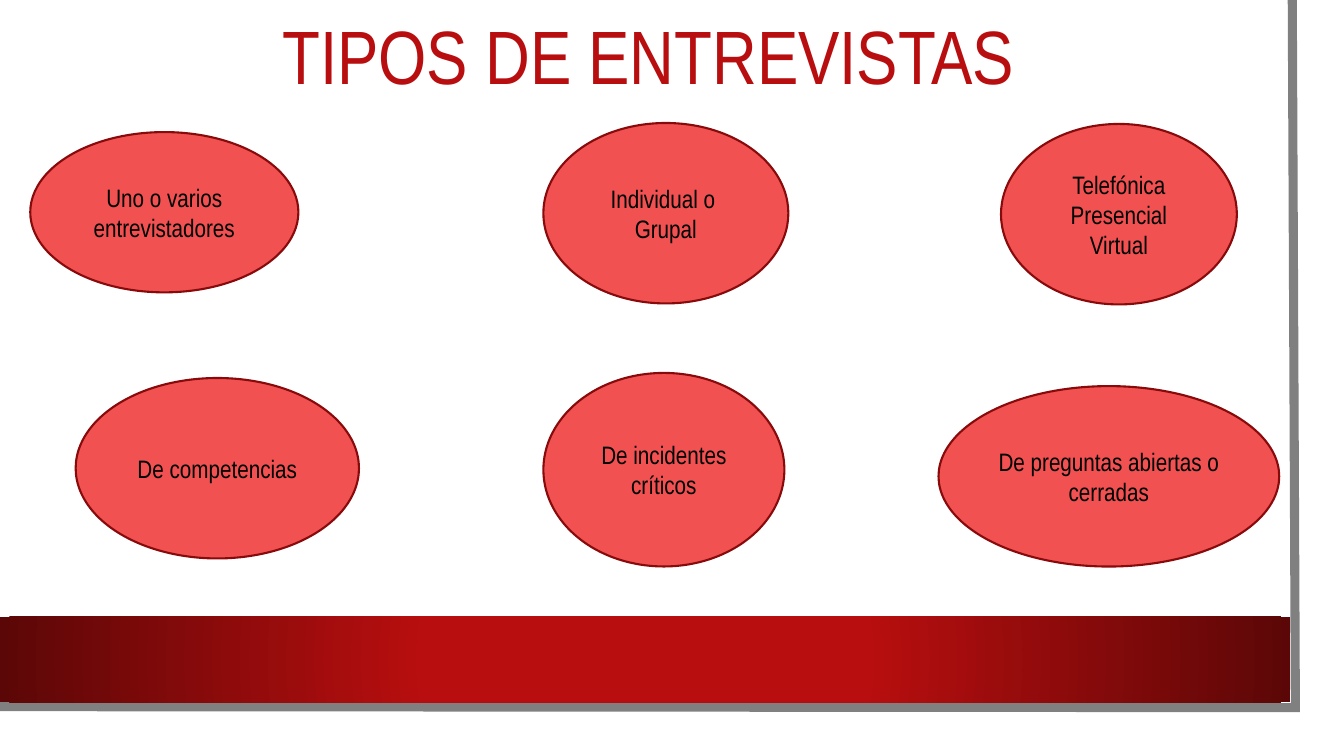
from pptx import Presentation
from pptx import util as u
from pptx.dml.color import RGBColor
from pptx.enum import shapes, text
from pptx.oxml import parse_xml
from pptx.oxml.ns import nsdecls, qn

WIDTH, HEIGHT = u.Inches(13.33), u.Inches(7.5)
FONT = "Arial Narrow"
COLORS = {
    "title": "B80E0F",
    "band_edge": "5C0707",
    "frame": "808080",
    "oval": "F25152",
    "oval_line": "880A0B",
    "label": "000000",
}

# Lines of text, then left, top, width and height in percent of the slide
INTERVIEW_TYPES = [
    (["Uno o varios entrevistadores"], (2.25, 17.47, 19.95, 21.2)),
    (["Individual o ", "Grupal"], (40.43, 16.27, 18.23, 23.87)),
    (["Telefónica", "Presencial", "Virtual"], (74.48, 16.4, 17.55, 23.87)),
    (["De competencias"], (5.63, 50, 21.08, 23.87)),
    (["De incidentes críticos"], (40.43, 49.33, 17.93, 25.6)),
    (["De preguntas abiertas o cerradas"], (69.83, 51.07, 25.35, 23.87)),
]


def color(name):
    return RGBColor.from_string(COLORS[name])


def across(percent):
    return round(WIDTH * percent / 100)


def down(percent):
    return round(HEIGHT * percent / 100)


def place(left, top, width, height):
    return across(left), down(top), across(width), down(height)


def write_lines(shape, lines, size, color_name, spacing=1.0):
    frame = shape.text_frame
    frame.word_wrap = True
    frame.vertical_anchor = text.MSO_ANCHOR.MIDDLE
    for index, line in enumerate(lines):
        para = frame.paragraphs[0] if index == 0 else frame.add_paragraph()
        para.alignment = text.PP_ALIGN.CENTER
        para.line_spacing = spacing
        span = para.add_run()
        span.text = line
        span.font.name = FONT
        span.font.size = u.Pt(size)
        span.font.color.rgb = color(color_name)


def add_frame(page):
    """Grey edge along the right and bottom of the sheet."""
    builder = page.shapes.build_freeform(across(96.15), 0)
    corners = [(across(96.38), down(93.6)), (0, down(93.47))]
    builder.add_line_segments(corners, close=False)
    edge = builder.convert_to_shape()
    edge.shadow.inherit = False
    edge.fill.background()
    edge.line.color.rgb = color("frame")
    edge.line.width = u.Pt(6.5)
    edge.line._get_or_add_ln().append(
        parse_xml(f'<a:miter {nsdecls("a")} lim="800000"/>'))


def add_band(page):
    """Red band, darkening from its centre to both ends."""
    band = page.shapes.add_shape(
        shapes.MSO_SHAPE.RECTANGLE, *place(0, 81.6, 96, 11.33))
    band.shadow.inherit = False
    band.line.fill.background()
    band.fill.gradient()
    stops = zip(band.fill.gradient_stops, (0.34, 1), ("title", "band_edge"))
    for stop, position, name in stops:
        stop.position = position
        stop.color.rgb = color(name)
    gradient = band._element.spPr.find(qn("a:gradFill"))
    gradient.replace(gradient.find(qn("a:lin")), parse_xml(
        f'<a:path {nsdecls("a")} path="circle">'
        '<a:fillToRect l="50000" t="50000" r="50000" b="50000"/></a:path>'))


def add_title(page, title):
    box = page.shapes.add_textbox(*place(5.63, -0.4, 85.28, 16.8))
    write_lines(box, [title], 54, "title", spacing=0.9)


def add_oval(page, lines, area):
    oval = page.shapes.add_shape(shapes.MSO_SHAPE.OVAL, *place(*area))
    oval.shadow.inherit = False
    oval.fill.solid()
    oval.fill.fore_color.rgb = color("oval")
    oval.line.color.rgb = color("oval_line")
    oval.line.width = u.Pt(1.5)
    write_lines(oval, lines, 18, "label")


def main():
    deck = Presentation()
    deck.slide_width, deck.slide_height = WIDTH, HEIGHT
    page = deck.slides.add_slide(deck.slide_layouts[6])

    # Backdrop
    add_frame(page)
    add_band(page)

    # Content
    add_title(page, "TIPOS DE ENTREVISTAS")
    for lines, area in INTERVIEW_TYPES:
        add_oval(page, lines, area)

    deck.save("out.pptx")


if __name__ == "__main__":
    main()
